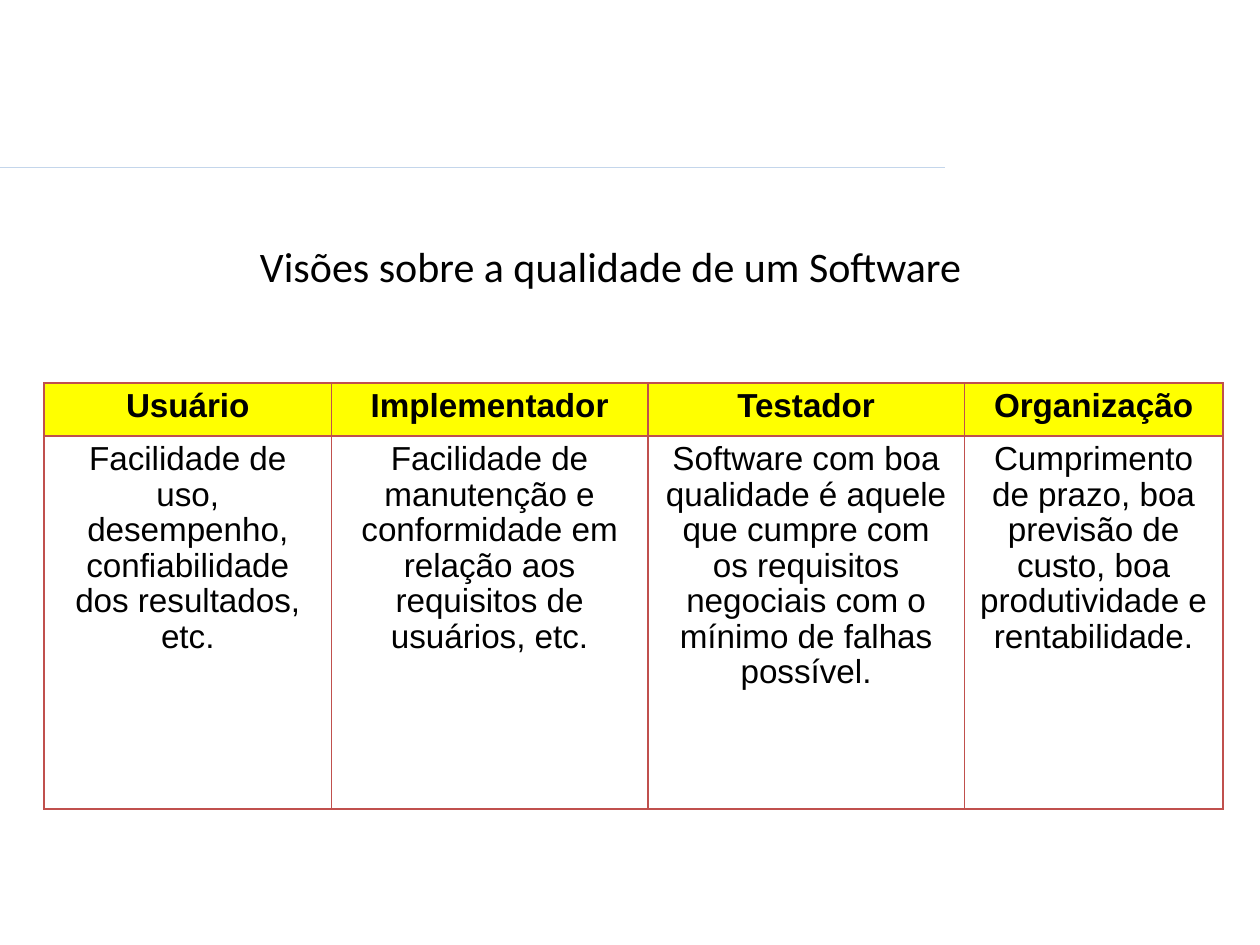
"""Build the slide that compares four views of software quality."""
from dataclasses import dataclass

from lxml.etree import SubElement
from pptx import Presentation
from pptx.dml.color import RGBColor
from pptx.enum.shapes import MSO_CONNECTOR
from pptx.enum.text import MSO_ANCHOR, MSO_AUTO_SIZE, PP_ALIGN
from pptx.oxml.ns import qn
from pptx.util import Cm, Pt

HEADING = "Visões sobre a qualidade de um Software"
VIEWS = [
    ("Usuário", 5.79,
     "Facilidade de uso, desempenho, confiabilidade dos resultados, etc."),
    ("Implementador", 6.38,
     "Facilidade de manutenção e conformidade em relação aos requisitos de usuários, etc."),
    ("Testador", 6.38,
     "Software com boa qualidade é aquele que cumpre com os requisitos negociais "
     "com o mínimo de falhas possível."),
    ("Organização", 5.21,
     "Cumprimento de prazo, boa previsão de custo, boa produtividade e rentabilidade."),
]
ROW_HEIGHTS = (1.07, 7.52)


@dataclass(frozen=True)
class Theme:
    ink: str = "000000"
    header: str = "FFFF00"
    border: str = "C0504D"
    rule: str = "C4D6EB"
    heading_font: str = "Calibri"
    table_font: str = "Arial"
    heading_size: int = 24
    table_size: int = 19
    table_leading: float = 0.96


THEME = Theme()


def format_text(paragraph, font_name, size, bold=False):
    paragraph.alignment = PP_ALIGN.CENTER
    for run in paragraph.runs:
        run.font.name = font_name
        run.font.size = Pt(size)
        run.font.bold = bold
        run.font.color.rgb = RGBColor.from_string(THEME.ink)


def add_borders(cell):
    properties = cell._tc.get_or_add_tcPr()
    for position, side in enumerate(("a:lnL", "a:lnR", "a:lnT", "a:lnB")):
        line = SubElement(properties, qn(side), w=str(Pt(1)))
        fill = SubElement(line, qn("a:solidFill"))
        SubElement(fill, qn("a:srgbClr"), val=THEME.border)
        properties.remove(line)
        properties.insert(position, line)


def fill_cell(cell, text, is_header):
    cell.text_frame.text = text
    cell.vertical_anchor = MSO_ANCHOR.TOP
    paragraph = cell.text_frame.paragraphs[0]
    paragraph.line_spacing = THEME.table_leading
    format_text(paragraph, THEME.table_font, THEME.table_size, is_header)
    if is_header:
        cell.fill.solid()
        cell.fill.fore_color.rgb = RGBColor.from_string(THEME.header)
    else:
        cell.fill.background()
    add_borders(cell)


def add_rule(slide):
    rule = slide.shapes.add_connector(
        MSO_CONNECTOR.STRAIGHT, Cm(0), Cm(3.38), Cm(19.05), Cm(3.38))
    rule.line.color.rgb = RGBColor.from_string(THEME.rule)
    rule.line.width = Pt(0.75)
    SubElement(rule._element.spPr, qn("a:effectLst"))


def add_views(slide):
    width = sum(column_width for _, column_width, _ in VIEWS)
    table = slide.shapes.add_table(
        len(ROW_HEIGHTS), len(VIEWS), Cm(0.89), Cm(7.72),
        Cm(width), Cm(sum(ROW_HEIGHTS))).table
    table.horz_banding = False
    for row, height in zip(table.rows, ROW_HEIGHTS):
        row.height = Cm(height)
    for index, (view, column_width, quality) in enumerate(VIEWS):
        table.columns[index].width = Cm(column_width)
        fill_cell(table.cell(0, index), view, True)
        fill_cell(table.cell(1, index), quality, False)


def add_heading(slide):
    heading = slide.shapes.title
    heading.left, heading.top = Cm(3.71), Cm(4.72)
    heading.width, heading.height = Cm(17.2), Cm(1.27)
    frame = heading.text_frame
    frame.text = HEADING
    frame.word_wrap = True
    frame.auto_size = MSO_AUTO_SIZE.SHAPE_TO_FIT_TEXT
    frame.vertical_anchor = MSO_ANCHOR.TOP
    format_text(frame.paragraphs[0], THEME.heading_font, THEME.heading_size)


def main():
    presentation = Presentation()
    presentation.slide_width, presentation.slide_height = Cm(25.4), Cm(19.05)
    slide = presentation.slides.add_slide(presentation.slide_layouts[5])
    add_rule(slide)
    add_views(slide)
    add_heading(slide)
    presentation.save("out.pptx")


if __name__ == "__main__":
    main()
